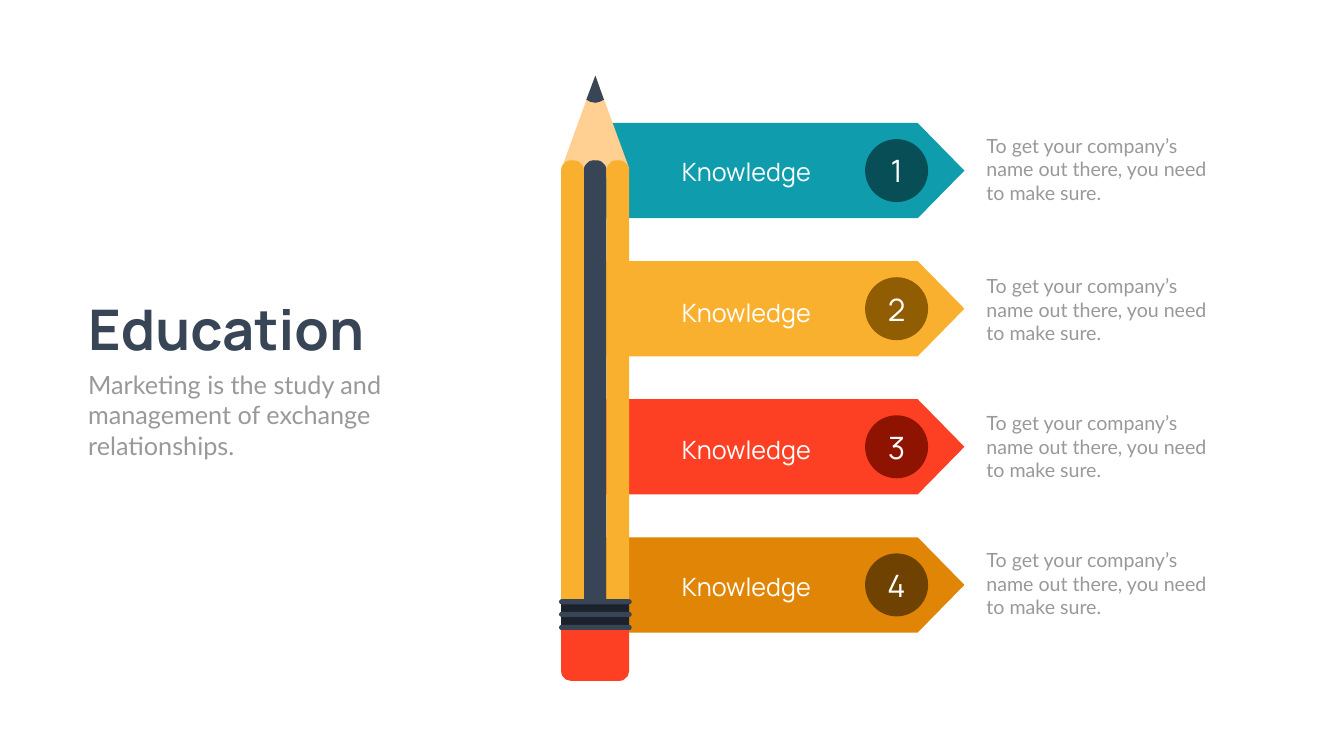
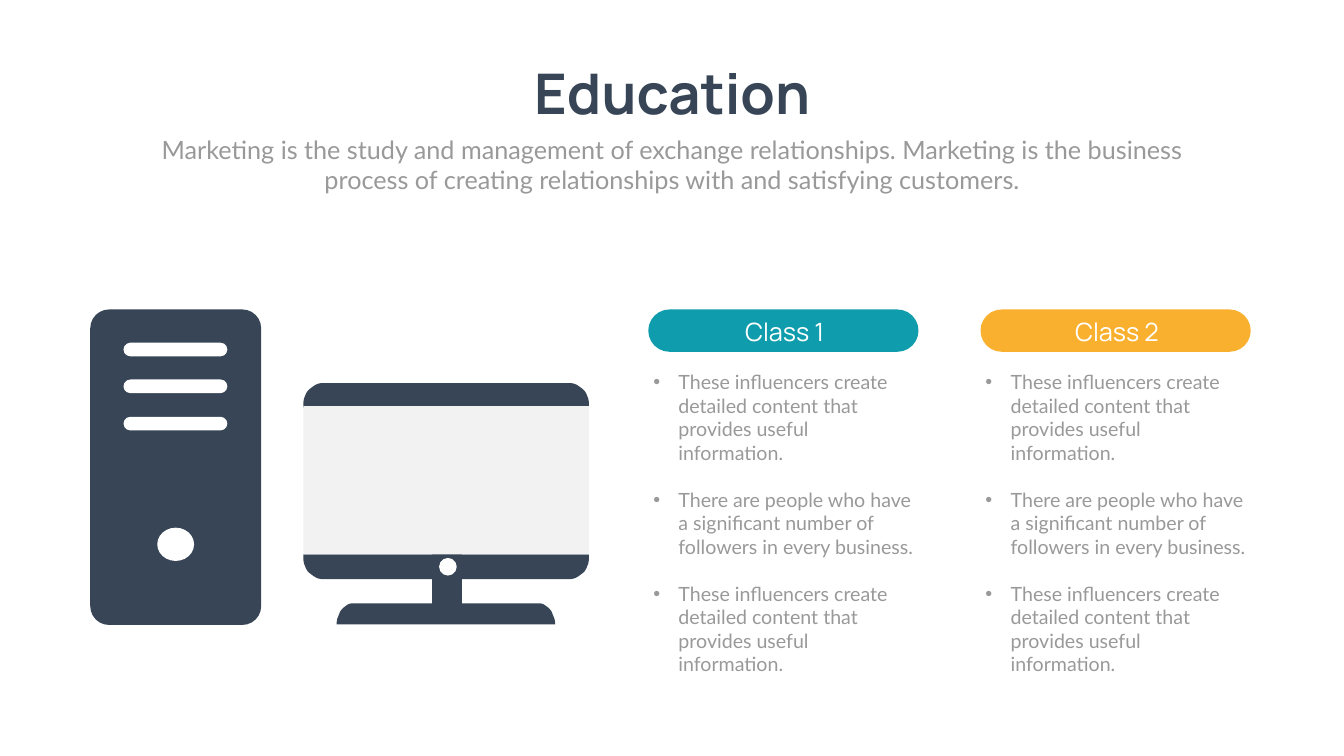
from math import cos, pi, sin

from lxml.etree import SubElement
from pptx import Presentation
from pptx.dml.color import RGBColor
from pptx.enum.shapes import MSO_SHAPE as Shape
from pptx.enum.text import MSO_ANCHOR as Anchor, PP_ALIGN as Align
from pptx.oxml.ns import qn
from pptx.util import Emu, Pt

PX = 9144  # EMU in one px, 100 px to the inch

PAPER = RGBColor(0xFE, 0xFF, 0xFE)
WHITE = RGBColor(0xFF, 0xFF, 0xFF)
SCREEN = RGBColor(0xF2, 0xF2, 0xF2)
GREY = RGBColor(0x99, 0x99, 0x99)
SLATE = RGBColor(0x37, 0x45, 0x56)
DARK_SLATE = RGBColor(0x1B, 0x22, 0x2B)
WOOD = RGBColor(0xFF, 0xD0, 0x91)
TEAL = RGBColor(0x0F, 0x9D, 0xAD)
DARK_TEAL = RGBColor(0x07, 0x4E, 0x56)
YELLOW = RGBColor(0xFA, 0xB0, 0x2F)
DARK_YELLOW = RGBColor(0x91, 0x5D, 0x03)
RED = RGBColor(0xFD, 0x40, 0x24)
DARK_RED = RGBColor(0x8F, 0x13, 0x01)
ORANGE = RGBColor(0xE0, 0x85, 0x05)
DARK_ORANGE = RGBColor(0x70, 0x42, 0x02)

# Text styles: font, size, colour, bold
TITLE = ("Manrope", 80, SLATE, True)
SUBTITLE = ("Lato", 36, GREY, False)
BODY = ("Lato", 28, GREY, False)
LABEL = ("Manrope", 36, WHITE, False)
NUMBER = ("Manrope", 44, WHITE, False)

NOTE = "To get your company’s name out there, you need to make sure."
CREATE = "These influencers create detailed content that provides useful information."
FOLLOW = "There are people who have a significant number of followers in every business."


class Deck:
    def __init__(self):
        self.deck = Presentation()
        self.deck.slide_width = Emu(2666 * PX)
        self.deck.slide_height = Emu(1500 * PX)
        self.page = None

    def new_page(self):
        self.page = self.deck.slides.add_slide(self.deck.slide_layouts[6])
        fill = self.page.background.fill
        fill.solid()
        fill.fore_color.rgb = PAPER

    def paint(self, shape, color):
        shape.shadow.inherit = False
        shape.fill.solid()
        shape.fill.fore_color.rgb = color
        shape.line.fill.background()
        return shape

    def set_text(self, frame, text, style, align):
        """Put text in a frame, one paragraph a line, in one style."""
        name, size, color, bold = style
        frame.text = text
        for para in frame.paragraphs:
            para.alignment = align
            for span in para.runs:
                font = span.font
                font.name, font.size, font.bold = name, Pt(size), bold
                font.color.rgb = color

    def shape(self, kind, left, top, width, height, color, radius=None):
        """Add a preset shape; radius is the length its first adjustment sets."""
        box = (Emu(n * PX) for n in (left, top, width, height))
        shape = self.page.shapes.add_shape(kind, *box)
        if radius is not None:
            shape.adjustments[0] = round(radius / min(width, height), 2)
        return self.paint(shape, color)

    def pill(self, left, top, width, height, color):
        half = min(width, height) / 2
        return self.shape(Shape.ROUNDED_RECTANGLE, left, top, width, height, color, half)

    def outline(self, points, color):
        builder = self.page.shapes.build_freeform(*points[0], scale=PX)
        builder.add_line_segments(points[1:], close=True)
        return self.paint(builder.convert_to_shape(), color)

    def cap(self, left, top, width, height, radius, color, upside_down=False):
        """Add a slab whose two upper corners are rounded, or the lower two."""
        radius_x, radius_y = radius
        arc = [(radius_x * (1 - cos(a)), radius_y * (1 - sin(a)))
               for a in (pi / 2 * step / 12 for step in range(13))]
        points = [(0, height), *arc, *((width - x, y) for x, y in reversed(arc)), (width, height)]
        self.outline([(round(left + x), round(top + (height - y if upside_down else y)))
                      for x, y in points], color)

    def badge(self, left, top, size, color, number):
        shape = self.shape(Shape.OVAL, left, top, size, size, color)
        shape.text_frame.vertical_anchor = Anchor.MIDDLE
        self.set_text(shape.text_frame, str(number), NUMBER, Align.CENTER)

    def text(self, left, top, width, height, text, style, align=Align.LEFT):
        box = self.page.shapes.add_textbox(*(Emu(n * PX) for n in (left, top, width, height)))
        box.text_frame.word_wrap = True
        self.set_text(box.text_frame, text, style, align)
        return box.text_frame

    def bullets(self, left, top, width, height, items):
        frame = self.text(left, top, width, height, "\n".join(items), BODY)
        for index, para in enumerate(frame.paragraphs):
            props = para._p.get_or_add_pPr()
            props.set("marL", str(50 * PX))
            props.set("indent", str(-50 * PX))
            color = SubElement(props, qn("a:buClr"))
            SubElement(color, qn("a:srgbClr"), val=str(GREY))
            SubElement(props, qn("a:buFont"), typeface="Arial")
            SubElement(props, qn("a:buChar"), char="•")
            if index:
                para.space_before = Pt(33.6)


def draw_pencil(deck):
    left, width, stripe = 1113, 135, 45
    deck.shape(Shape.ROUNDED_RECTANGLE, left, 1220, width, 131, RED, 20)
    deck.outline([(1114, 334), (1181, 150), (1248, 334), (1224, 357), (1113, 339)], WOOD)
    for column, color in ((1, SLATE), (2, YELLOW), (0, YELLOW)):
        deck.shape(Shape.ROUNDED_RECTANGLE, left + column * stripe, 318, stripe, 891, color, 20)
    deck.outline([(1181, 150), (1163, 198), (1171, 202), (1181, 204), (1190, 202), (1198, 198)],
                 SLATE)
    deck.shape(Shape.RECTANGLE, left, 1189, width, 61, DARK_SLATE)
    for ring in range(3):
        deck.pill(1109, 1189 + ring * 51 // 2, 144, 10, SLATE)


def draw_tower(deck):
    deck.shape(Shape.ROUNDED_RECTANGLE, 179, 614, 339, 626, SLATE, 37)
    for slot in range(3):
        deck.pill(245, 680 + slot * 147 // 2, 206, 27, WHITE)
    deck.shape(Shape.OVAL, 312, 1047, 73, 66, WHITE)


def draw_monitor(deck):
    left, width = 602, 566
    deck.pill(857, 974, 59, 255, SLATE)
    deck.cap(left, 760, width, 49, (41, 42), SLATE)
    deck.cap(left, 1100, width, 49, (41, 42), SLATE, upside_down=True)
    deck.shape(Shape.RECTANGLE, left, 806, width, 294, SCREEN)
    deck.shape(Shape.OVAL, 871, 1107, 35, 35, WHITE)
    deck.cap(668, 1197, 433, 42, (34, 42), SLATE)


def pencil_page(deck):
    deck.new_page()
    deck.text(165, 580, 603, 145, "Education", TITLE)
    deck.text(165, 728, 735, 192,
              "Marketing is the study and management of exchange relationships.", SUBTITLE)
    # Arrow colour, badge colour, top of the label
    rows = ((TEAL, DARK_TEAL, 306), (YELLOW, DARK_YELLOW, 585),
            (RED, DARK_RED, 857), (ORANGE, DARK_ORANGE, 1129))
    for index, (color, dark, label_top) in enumerate(rows):
        top = 244 + index * 274
        deck.shape(Shape.PENTAGON, 1198, top, 715, 189, color, 92)
        deck.badge(1716, top + 32, 125, dark, index + 1)
        deck.text(1343, label_top, 326, 71, "Knowledge", LABEL)
        deck.text(1947, label_top - 46, 476, 151, NOTE, BODY)
    draw_pencil(deck)


def computer_page(deck):
    deck.new_page()
    deck.text(1032, 112, 603, 145, "Education", TITLE, Align.CENTER)
    deck.text(292, 261, 2082, 131,
              "Marketing is the study and management of exchange relationships. Marketing is the "
              "business process of creating relationships with and satisfying customers.",
              SUBTITLE, Align.CENTER)
    draw_monitor(deck)
    draw_tower(deck)
    for left, color, name in ((1286, TEAL, "Class 1"), (1945, YELLOW, "Class 2")):
        deck.bullets(left, 729, 541, 528, (CREATE, FOLLOW, CREATE))
        deck.pill(left, 614, 536, 84, color)
        deck.text(left + 71, 623, 399, 71, name, LABEL, Align.CENTER)


def main():
    deck = Deck()
    pencil_page(deck)
    computer_page(deck)
    deck.deck.save("out.pptx")


if __name__ == "__main__":
    main()
